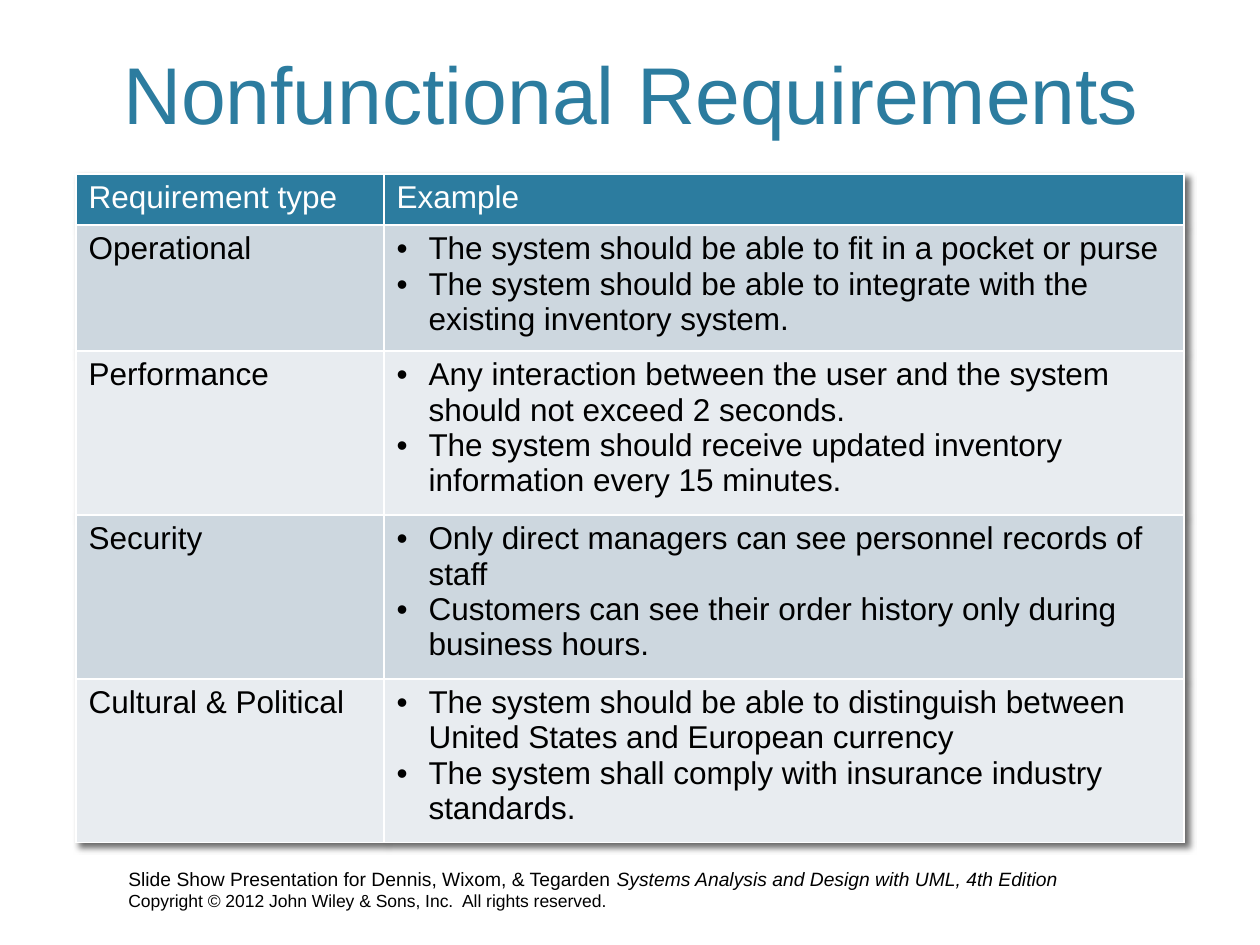
from dataclasses import dataclass
from lxml import etree
from pptx import Presentation
from pptx.dml.color import RGBColor as RGB
from pptx.enum.text import MSO_ANCHOR as Anchor, PP_ALIGN as Align
from pptx.oxml import parse_xml
from pptx.oxml.ns import qn
from pptx.util import Pt

PX = 914400 / 126


@dataclass
class Theme:
    face: str = "Arial"
    blue: str = "2C7C9F"
    white: str = "FFFFFF"
    black: str = "000000"
    bands: tuple = ("CDD7DF", "E8ECF0")
    title: int = 46
    body: int = 18
    note: int = 11
    small: int = 10


theme = Theme()


def px(*nums):
    return [round(n * PX) for n in nums]


def write(para, text, size=theme.body, color=theme.black, italic=False, bullet=False):
    if bullet:
        props = para._p.get_or_add_pPr()
        inset = px(32)[0]
        props.set("marL", str(inset))
        props.set("indent", str(-inset))
        etree.SubElement(props, qn("a:buFont")).set("typeface", theme.face)
        etree.SubElement(props, qn("a:buChar")).set("char", "•")
    run = para.add_run()
    run.text = text
    font = run.font
    font.name, font.size, font.italic = theme.face, Pt(size), italic
    font.color.rgb = RGB.from_string(color)


deck = Presentation()
deck.slide_width, deck.slide_height = px(1260, 945)
slide = deck.slides.add_slide(deck.slide_layouts[6])

foot = slide.shapes.add_textbox(*px(116, 861, 959, 57)).text_frame
foot.word_wrap = True
line = foot.paragraphs[0]
write(line, "Slide Show Presentation for Dennis, Wixom, & Tegarden ", size=theme.note)
write(line, "Systems Analysis and Design with UML, 4th Edition", size=theme.note, italic=True)
write(foot.add_paragraph(), "Copyright © 2012 John Wiley & Sons, Inc.  All rights reserved.",
      size=theme.small)

head = slide.shapes.add_textbox(*px(76, 15, 1109, 132)).text_frame
head.word_wrap = True
head.vertical_anchor = Anchor.BOTTOM
head.paragraphs[0].alignment = Align.CENTER
write(head.paragraphs[0], "Nonfunctional Requirements", size=theme.title, color=theme.blue)

rows = [
    ("Requirement type", ["Example"], 51),
    ("Operational", [
        "The system should be able to fit in a pocket or purse",
        "The system should be able to integrate with the existing inventory system."], 118),
    ("Performance", [
        "Any interaction between the user and the system should not exceed 2 seconds.",
        "The system should receive updated inventory information every 15 minutes."], 154),
    ("Security", [
        "Only direct managers can see personnel records of staff",
        "Customers can see their order history only during business hours."], 154),
    ("Cultural & Political", [
        "The system should be able to distinguish between United States and European currency",
        "The system shall comply with insurance industry standards."], 154),
]
tall = sum(row[2] for row in rows)
grid = slide.shapes.add_table(len(rows), 2, *px(76, 174, 1108, tall)).table
for col, wide in zip(grid.columns, px(308, 800)):
    col.width = wide

main = "http://schemas.openxmlformats.org/drawingml/2006/main"
shade = parse_xml(
    f'<a:effectLst xmlns:a="{main}"><a:outerShdw blurRad="50800" dist="38100" dir="2700000" '
    f'algn="tl" rotWithShape="0"><a:srgbClr val="{theme.black}"><a:alpha val="60000"/>'
    '</a:srgbClr></a:outerShdw></a:effectLst>')
grid._tbl.tblPr.insert(0, shade)

for i, (kind, items, high) in enumerate(rows):
    grid.rows[i].height = px(high)[0]
    fill = theme.bands[(i - 1) % 2] if i else theme.blue
    ink = theme.black if i else theme.white
    for j, texts in enumerate(([kind], items)):
        cell = grid.cell(i, j)
        frame = cell.text_frame
        for n, text in enumerate(texts):
            para = frame.add_paragraph() if n else frame.paragraphs[0]
            write(para, text, color=ink, bullet=bool(i and j))
        props = cell._tc.get_or_add_tcPr()
        for side in ("lnL", "lnR", "lnT", "lnB"):
            edge = etree.SubElement(props, qn(f"a:{side}"), w=str(Pt(1)))
            solid = etree.SubElement(edge, qn("a:solidFill"))
            etree.SubElement(solid, qn("a:srgbClr"), val=theme.white)
        cell.fill.solid()
        cell.fill.fore_color.rgb = RGB.from_string(fill)

deck.save("out.pptx")
